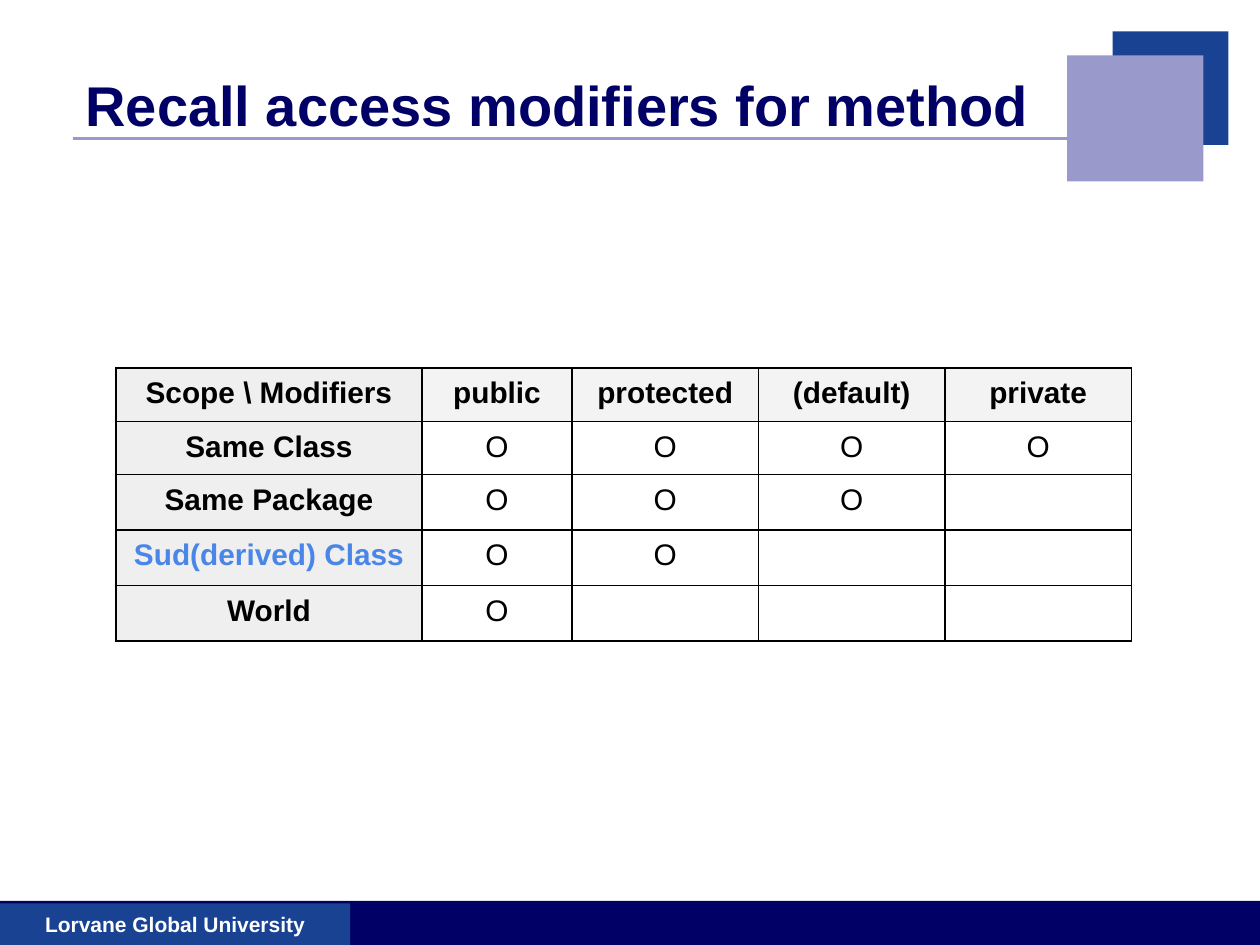
import pptx
import pptx.dml.color
import pptx.enum.shapes
import pptx.enum.text
import pptx.oxml
import pptx.oxml.ns
import pptx.util

RGBColor = pptx.dml.color.RGBColor
PP_ALIGN = pptx.enum.text.PP_ALIGN
MSO_ANCHOR = pptx.enum.text.MSO_ANCHOR

NAVY = RGBColor(0x00, 0x00, 0x66)
BLUE = RGBColor(0x19, 0x42, 0x93)
LAVENDER = RGBColor(0x99, 0x99, 0xCC)
SKY = RGBColor(0x4A, 0x86, 0xE8)
WHITE = RGBColor(0xFF, 0xFF, 0xFF)
BLACK = RGBColor(0x00, 0x00, 0x00)
HEAD_GREY = RGBColor(0xF3, 0xF3, 0xF3)
SIDE_GREY = RGBColor(0xEF, 0xEF, 0xEF)

MODIFIERS = ["public", "protected", "(default)", "private"]
HIGHLIGHT = "Sud(derived) Class"
SCOPES = [("Same Class", 4), ("Same Package", 3), (HIGHLIGHT, 2), ("World", 1)]


class Deck:
    font = "Arial"
    columns, rows = 100, 75

    def __init__(self, width, height):
        self.prs = pptx.Presentation()
        self.prs.slide_width = pptx.util.Inches(width)
        self.prs.slide_height = pptx.util.Inches(height)
        self.s = self.prs.slides.add_slide(self.prs.slide_layouts[6])

    def x(self, columns):
        return round(self.prs.slide_width * columns / self.columns)

    def y(self, rows):
        return round(self.prs.slide_height * rows / self.rows)

    def box(self, left, top, width, height):
        return self.x(left), self.y(top), self.x(width), self.y(height)

    def set_text(self, tf, text, size, color, bold=True, align=PP_ALIGN.CENTER):
        tf.text = text
        p = tf.paragraphs[0]
        p.alignment = align
        for r in p.runs:
            r.font.name = self.font
            r.font.size = pptx.util.Pt(size)
            r.font.bold = bold
            r.font.color.rgb = color

    def rect(self, left, top, width, height, color):
        kind = pptx.enum.shapes.MSO_SHAPE.RECTANGLE
        sp = self.s.shapes.add_shape(kind, *self.box(left, top, width, height))
        sp.shadow.inherit = False
        sp.fill.solid()
        sp.fill.fore_color.rgb = color
        sp.line.fill.background()
        return sp

    def rule(self, left, right, top, color, weight):
        kind = pptx.enum.shapes.MSO_CONNECTOR.STRAIGHT
        line = self.s.shapes.add_connector(
            kind, self.x(left), self.y(top), self.x(right), self.y(top))
        line.line.color.rgb = color
        line.line.width = pptx.util.Pt(weight)
        line._element.spPr.append(
            pptx.oxml.parse_xml(f"<a:effectLst {pptx.oxml.ns.nsdecls('a')}/>"))

    def title(self, left, top, width, height, text):
        tf = self.s.shapes.add_textbox(*self.box(left, top, width, height)).text_frame
        tf.word_wrap = True
        tf.vertical_anchor = MSO_ANCHOR.BOTTOM
        self.set_text(tf, text, 32, NAVY, align=PP_ALIGN.LEFT)

    def label(self, left, top, width, height, text, fill):
        sp = self.rect(left, top, width, height, fill)
        sp.text_frame.word_wrap = True
        sp.text_frame.vertical_anchor = MSO_ANCHOR.MIDDLE
        self.set_text(sp.text_frame, text, 12, WHITE)

    def border(self, cell):
        tcPr = cell._tc.get_or_add_tcPr()
        for i, side in enumerate(("lnL", "lnR", "lnT", "lnB")):
            tcPr.insert(i, pptx.oxml.parse_xml(
                f"<a:{side} {pptx.oxml.ns.nsdecls('a')} w='{int(pptx.util.Pt(1))}'>"
                f"<a:solidFill><a:srgbClr val='{BLACK}'/></a:solidFill></a:{side}>"))

    def cell(self, cell, text, fill, color, bold):
        cell.margin_left = cell.margin_right = self.x(0.7)
        cell.margin_top = cell.margin_bottom = self.y(0.7)
        if fill is None:
            cell.fill.background()
        else:
            cell.fill.solid()
            cell.fill.fore_color.rgb = fill
        self.set_text(cell.text_frame, text, 17, color, bold)
        self.border(cell)

    def table(self, left, top, widths, heights, grid):
        frame = self.s.shapes.add_table(
            len(heights), len(widths), *self.box(left, top, sum(widths), sum(heights)))
        table = frame.table
        table.first_row = table.horz_banding = False
        for column, width in zip(table.columns, widths):
            column.width = self.x(width)
        for row, height in zip(table.rows, heights):
            row.height = self.y(height)
        for i, line in enumerate(grid):
            for j, text in enumerate(line):
                fill = SIDE_GREY if j == 0 else HEAD_GREY if i == 0 else None
                color = SKY if text == HIGHLIGHT else BLACK
                self.cell(table.cell(i, j), text, fill, color, fill is not None)


def main():
    deck = Deck(10, 7.5)
    deck.rect(0, 71.5, 100, 3.5, NAVY)
    deck.rule(5.8, 85, 11, LAVENDER, 2)
    deck.rect(88.3, 2.5, 9.2, 9, BLUE)
    deck.rect(84.7, 4.4, 10.8, 10, LAVENDER)
    deck.label(0, 71.7, 27.8, 3.3, "Lorvane Global University", BLUE)
    deck.title(5.8, 3.1, 86.5, 8.3, "Recall access modifiers for method")
    grid = [["Scope \\ Modifiers"] + MODIFIERS]
    for scope, allowed in SCOPES:
        grid.append([scope] + ["O"] * allowed + [""] * (len(MODIFIERS) - allowed))
    deck.table(9.2, 29.2, [24.3, 11.9] + [14.8] * 3, [4.05] * 2 + [4.2] * 3, grid)
    deck.prs.save("out.pptx")


if __name__ == "__main__":
    main()
